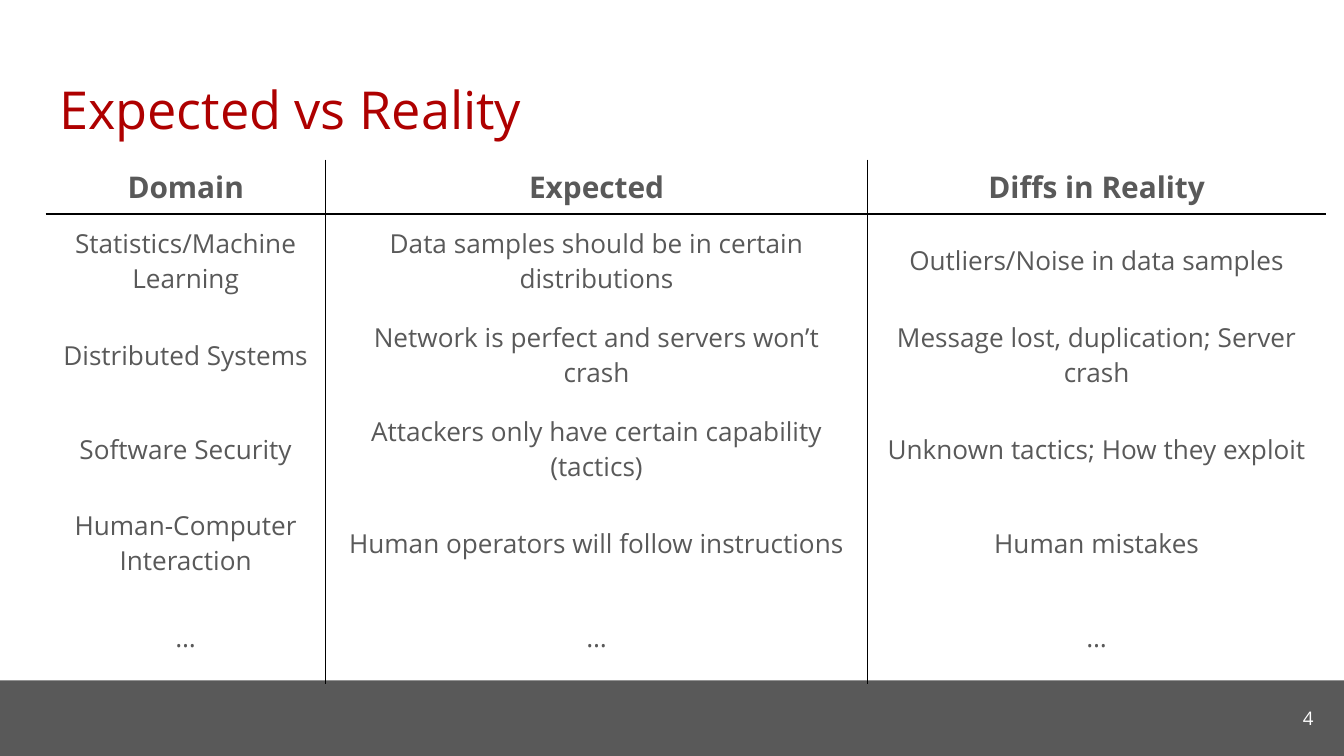
import pptx
import pptx.dml.color
import pptx.enum.shapes
import pptx.enum.text
import pptx.oxml
import pptx.oxml.ns
import pptx.util

Pt = pptx.util.Pt
RGBColor = pptx.dml.color.RGBColor
PP_ALIGN = pptx.enum.text.PP_ALIGN
MIDDLE = pptx.enum.text.MSO_ANCHOR.MIDDLE

RED = RGBColor(0xAE, 0x00, 0x00)
GREY = RGBColor(0x59, 0x59, 0x59)
WHITE = RGBColor(0xFF, 0xFF, 0xFF)
BLACK = RGBColor(0x00, 0x00, 0x00)

COMPARISON = [
    ("Domain", "Expected", "Diffs in Reality"),
    ("Statistics/Machine Learning",
     "Data samples should be in certain distributions",
     "Outliers/Noise in data samples"),
    ("Distributed Systems",
     "Network is perfect and servers won’t crash",
     "Message lost, duplication; Server crash"),
    ("Software Security",
     "Attackers only have certain capability (tactics)",
     "Unknown tactics; How they exploit"),
    ("Human-Computer Interaction",
     "Human operators will follow instructions",
     "Human mistakes"),
    ("…", "…", "…"),
]


class SlideBuilder:
    """Holds the style and the current slide."""
    font = "Open Sans"
    inset = Pt(7.2)

    def __init__(self, slide):
        self.slide = slide

    def add_text(self, frame, text, size, color, align, bold=False):
        paragraph = frame.paragraphs[0]
        paragraph.alignment = align
        run = paragraph.add_run()
        run.text = text
        run.font.name = self.font
        run.font.size = Pt(size)
        run.font.bold = bold
        run.font.color.rgb = color

    def set_frame(self, frame):
        frame.word_wrap = True
        frame.auto_size = pptx.enum.text.MSO_AUTO_SIZE.NONE
        frame.vertical_anchor = MIDDLE
        frame.margin_left = frame.margin_right = self.inset
        frame.margin_top = frame.margin_bottom = self.inset

    def band(self, left, top, width, height, color):
        footer = self.slide.shapes.add_shape(
            pptx.enum.shapes.MSO_SHAPE.RECTANGLE,
            Pt(left), Pt(top), Pt(width), Pt(height))
        footer.shadow.inherit = False
        footer.fill.solid()
        footer.fill.fore_color.rgb = color
        footer.line.fill.background()

    def title(self, text, left, top, width, height):
        heading = self.slide.shapes.title
        heading.left, heading.top = Pt(left), Pt(top)
        heading.width, heading.height = Pt(width), Pt(height)
        self.set_frame(heading.text_frame)
        self.add_text(heading.text_frame, text, 28, RED, PP_ALIGN.LEFT)

    def label(self, text, left, top, width, height):
        number = self.slide.shapes.add_textbox(
            Pt(left), Pt(top), Pt(width), Pt(height))
        self.set_frame(number.text_frame)
        self.add_text(number.text_frame, text, 10, WHITE, PP_ALIGN.RIGHT)

    def borders(self, cell, visible):
        """Draw the sides named in visible and clear the others."""
        properties = cell._tc.get_or_add_tcPr()
        for index, side in enumerate("LRTB"):
            paint = (f'<a:solidFill><a:srgbClr val="{BLACK}"/></a:solidFill>'
                     if side in visible else "<a:noFill/>")
            properties.insert(index, pptx.oxml.parse_xml(
                f'<a:ln{side} {pptx.oxml.ns.nsdecls("a")} w="{Pt(1)}">'
                f'{paint}</a:ln{side}>'))

    def table(self, rows, left, top, widths, heights):
        table = self.slide.shapes.add_table(
            len(rows), len(widths), Pt(left), Pt(top),
            Pt(sum(widths)), Pt(sum(heights))).table
        table.first_row = table.horz_banding = False
        for column, width in zip(table.columns, widths):
            column.width = Pt(width)
        for row, height in zip(table.rows, heights):
            row.height = Pt(height)
        for r, texts in enumerate(rows):
            header = r == 0
            for c, text in enumerate(texts):
                cell = table.cell(r, c)
                cell.vertical_anchor = MIDDLE
                cell.fill.background()
                self.add_text(cell.text_frame, text, 16 if header else 14,
                              GREY, PP_ALIGN.CENTER, header)
                # Rules between columns and under the header only
                visible = "L" if c > 0 else ""
                visible += "R" if c < len(widths) - 1 else ""
                visible += "B" if header else "T" if r == 1 else ""
                self.borders(cell, visible)


def main():
    deck = pptx.Presentation()
    deck.slide_width, deck.slide_height = Pt(720), Pt(405)
    builder = SlideBuilder(deck.slides.add_slide(deck.slide_layouts[5]))

    # Footer band
    builder.band(0, 364.5, 720, 40.5, GREY)

    # Title and page number
    builder.title("Expected vs Reality", 24.5, 35.5, 671, 45.5)
    builder.label("4", 667.2, 369.2, 43.5, 31)

    # Comparison table: header, then equal rows
    body_heights = [50.4] * (len(COMPARISON) - 1)
    builder.table(COMPARISON, 24.5, 85.5, [150, 290.3, 245.5],
                  [29] + body_heights)

    deck.save("out.pptx")


if __name__ == "__main__":
    main()
